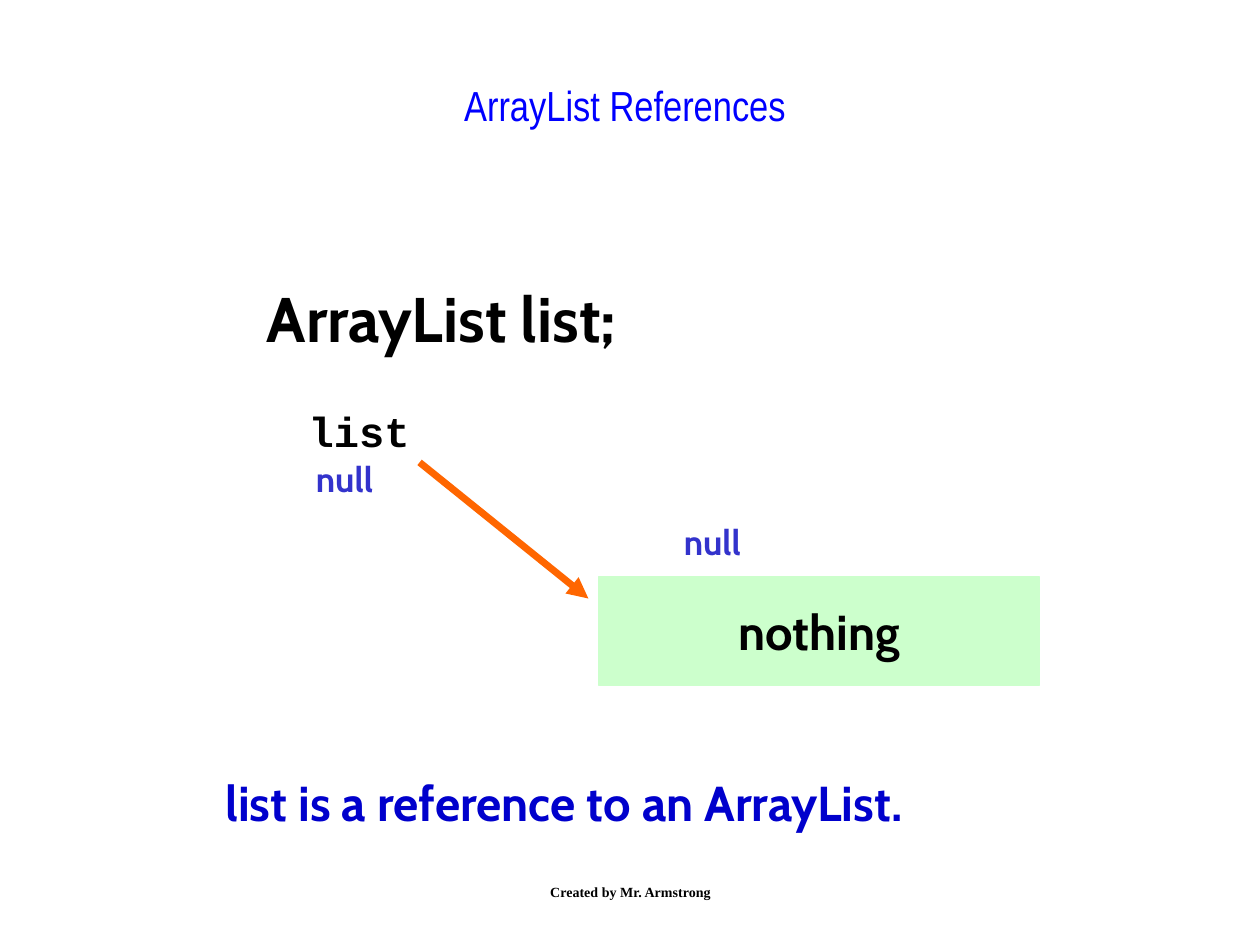
from lxml import etree
from pptx import Presentation
from pptx.dml.color import RGBColor
from pptx.enum import shapes, text
from pptx.oxml.ns import qn
from pptx.util import Inches, Pt

COLORS = {
    "title": "0000FF", "ink": "000000", "null": "3333CC",
    "note": "0000CC", "box": "CCFFCC", "arrow": "FF6600",
}
CENTER, LEFT = text.PP_ALIGN.CENTER, text.PP_ALIGN.LEFT
TOP, MIDDLE = text.MSO_ANCHOR.TOP, text.MSO_ANCHOR.MIDDLE

# Content: wording, (left, top, width, height), format
TITLE = ("ArrayList References", (1.17, 0.58, 7.58, 0.83))
OBJECT = ("nothing", (4.75, 4.58, 3.5, 0.86))
ARROW = ((3.33, 3.67), (4.67, 4.75))
NULL = dict(size=20, color="null")
LABELS = [
    ("list", (2.35, 3.17, 1, 0.9),
     dict(size=24, font="Courier New", align=CENTER)),
    ("null", (2.41, 3.58, 0.73, 0.44), NULL),
    ("null", (5.33, 4.08, 0.73, 0.44), NULL),
    ("ArrayList list;", (2.02, 2.17, 3.63, 0.7), dict(size=36)),
    ("list is a reference to an ArrayList.", (1.69, 6.08, 6.61, 0.57),
     dict(size=28, color="note")),
    ("Created by Mr. Armstrong", (3.42, 6.83, 3.17, 0.5),
     dict(size=8, font="Times New Roman", align=CENTER, anchor=MIDDLE)),
]


def rgb(name):
    return RGBColor.from_string(COLORS[name])


def inches(values):
    return [Inches(v) for v in values]


def write(sp, words, size=28, font="Cabin", color="ink", bold=True,
          align=LEFT, anchor=TOP):
    tf = sp.text_frame
    tf.word_wrap = True
    tf.auto_size = text.MSO_AUTO_SIZE.NONE
    tf.vertical_anchor = anchor
    p = tf.paragraphs[0]
    p.alignment = align
    r = p.add_run()
    r.text = words
    r.font.size, r.font.name, r.font.bold = Pt(size), font, bold
    r.font.color.rgb = rgb(color)


prs = Presentation()
prs.slide_width, prs.slide_height = inches((10, 7.5))
s = prs.slides.add_slide(prs.slide_layouts[5])

# Title
words, place = TITLE
title = s.shapes.title
title.left, title.top, title.width, title.height = inches(place)
write(title, words, size=24, font="Arial Narrow", color="title", bold=False,
      align=CENTER)

# Box for the referenced object
words, place = OBJECT
box = s.shapes.add_shape(shapes.MSO_SHAPE.RECTANGLE, *inches(place))
box.shadow.inherit = False
box.fill.solid()
box.fill.fore_color.rgb = rgb("box")
box.line.color.rgb = rgb("box")
box.line.width = Pt(1)
write(box, words, align=CENTER, anchor=MIDDLE)

# Reference arrow
start, end = ARROW
arrow = s.shapes.add_connector(shapes.MSO_CONNECTOR.STRAIGHT,
                               *inches(start + end))
arrow.line.color.rgb = rgb("arrow")
arrow.line.width = Pt(4)
etree.SubElement(arrow.line._get_or_add_ln(), qn("a:tailEnd"), type="triangle")
etree.SubElement(arrow._element.spPr, qn("a:effectLst"))

# Labels, explanation and footer
for words, place, style in LABELS:
    write(s.shapes.add_textbox(*inches(place)), words, **style)

prs.save("out.pptx")
